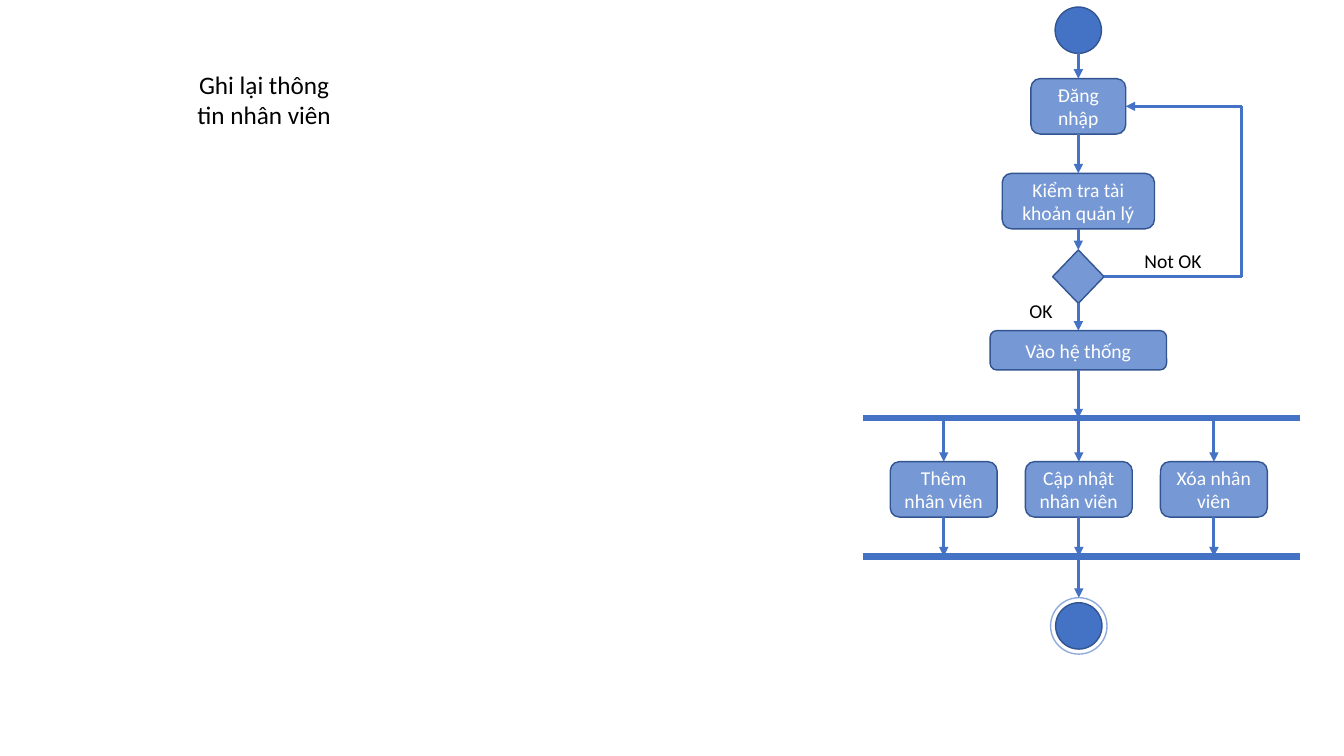
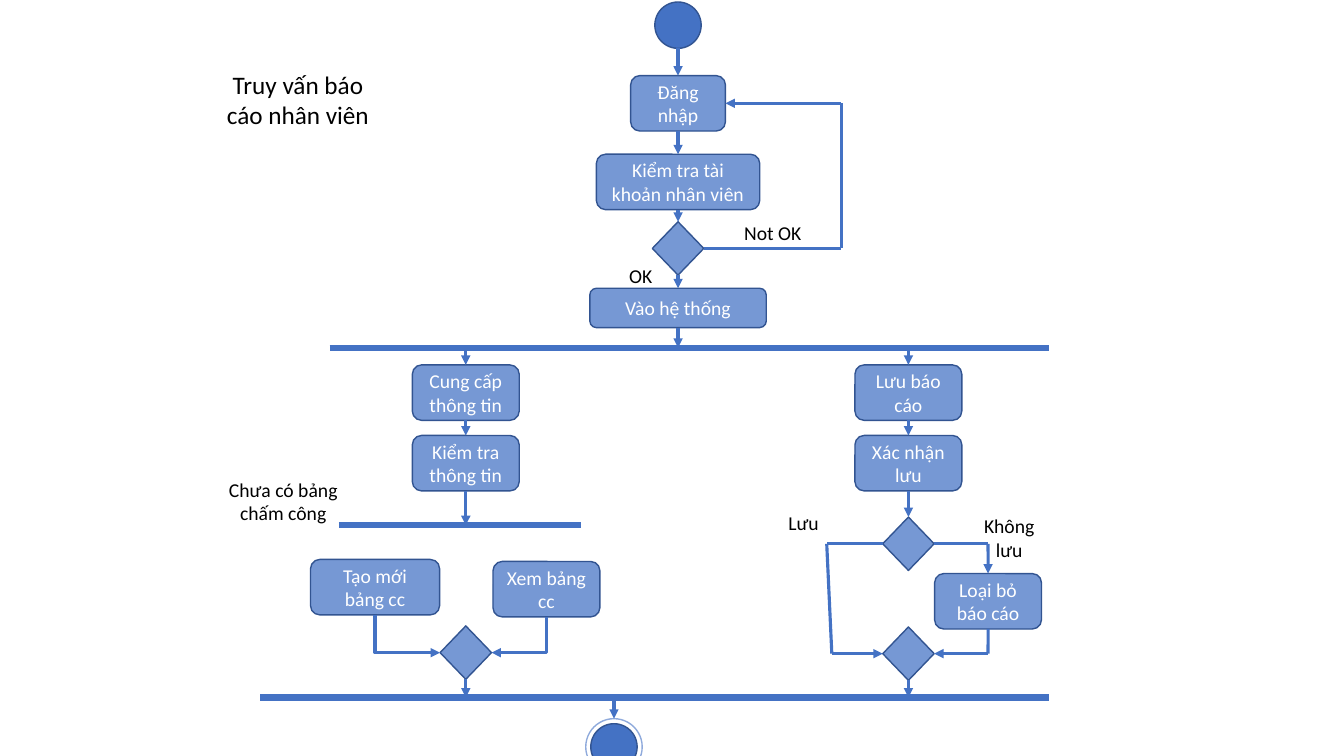
from dataclasses import dataclass

from pptx import Presentation
from pptx.dml.color import RGBColor
from pptx.enum.shapes import MSO_CONNECTOR, MSO_SHAPE
from pptx.enum.text import MSO_ANCHOR, MSO_AUTO_SIZE, PP_ALIGN
from pptx.oxml.ns import qn
from pptx.util import Inches, Pt

STRAIGHT, ELBOW = MSO_CONNECTOR.STRAIGHT, MSO_CONNECTOR.ELBOW
ROUNDED = MSO_SHAPE.ROUNDED_RECTANGLE
DIAMOND = MSO_SHAPE.FLOWCHART_DECISION
CIRCLE = MSO_SHAPE.OVAL
MIDDLE, CENTER, NO_FIT = MSO_ANCHOR.MIDDLE, PP_ALIGN.CENTER, MSO_AUTO_SIZE.NONE
TOP, LEFT, BOTTOM, RIGHT = range(4)  # connection sites
TITLE_ONLY = 5


@dataclass(frozen=True)
class Theme:
    font: str = "Calibri"
    title_size: float = 18
    text_size: float = 14
    line_width: float = 2.25
    bar_width: float = 4.5
    outline_width: float = 1
    task: str = "7698D4"
    accent: str = "4472C4"
    outline: str = "325491"
    ring: str = "8FAADC"
    light: str = "FFFFFF"
    dark: str = "000000"


@dataclass(frozen=True)
class Box:
    left: float
    top: float
    width: float
    height: float

    @property
    def right(self):
        return self.left + self.width

    @property
    def bottom(self):
        return self.top + self.height

    @property
    def center(self):
        return self.left + self.width / 2


THEME = Theme()
TASK_WIDTH, TASK_HEIGHT = 1.06, 0.55
DIAMOND_WIDTH, DIAMOND_HEIGHT = 0.51, 0.53
DISC, RING, RING_GAP = 0.46, 0.56, 0.05


# Basic parts
def write(shape, text, size=THEME.text_size, color=THEME.dark):
    frame = shape.text_frame
    frame.word_wrap = True
    frame.auto_size = NO_FIT
    frame.vertical_anchor = MIDDLE
    paragraph = frame.paragraphs[0]
    paragraph.alignment = CENTER
    run = paragraph.add_run()
    run.text = text
    run.font.name = THEME.font
    run.font.size = Pt(size)
    run.font.color.rgb = RGBColor.from_string(color)


def node(slide, kind, center, top, width, height, fill=THEME.task,
         outline=THEME.outline):
    shape = slide.shapes.add_shape(kind, Inches(center - width / 2), Inches(top),
                                   Inches(width), Inches(height))
    shape.shadow.inherit = False
    if fill:
        shape.fill.solid()
        shape.fill.fore_color.rgb = RGBColor.from_string(fill)
    else:
        shape.fill.background()
    shape.line.color.rgb = RGBColor.from_string(outline)
    shape.line.width = Pt(THEME.outline_width)
    return shape


def task(slide, text, center, top, width=TASK_WIDTH, height=TASK_HEIGHT):
    shape = node(slide, ROUNDED, center, top, width, height)
    write(shape, text, color=THEME.light)
    return shape


def decision(slide, center, top):
    return node(slide, DIAMOND, center, top, DIAMOND_WIDTH, DIAMOND_HEIGHT)


def disc(slide, center, top):
    return node(slide, CIRCLE, center, top, DISC, DISC, fill=THEME.accent)


def label(slide, text, center, middle, width=0.84, height=0.48):
    box = slide.shapes.add_textbox(Inches(center - width / 2),
                                   Inches(middle - height / 2),
                                   Inches(width), Inches(height))
    write(box, text)


def side(shape, site):
    """Point in inches at the middle of one side of a shape."""
    x = {LEFT: 0, RIGHT: 1}.get(site, 0.5)
    y = {TOP: 0, BOTTOM: 1}.get(site, 0.5)
    return ((shape.left + x * shape.width) / Inches(1),
            (shape.top + y * shape.height) / Inches(1))


# Lines: an end is a point (x, y) or a pair (shape, site)
def connect(slide, start, end, arrow="tailEnd", kind=STRAIGHT,
            width=THEME.line_width):
    ends = (start, end)
    glued = [not isinstance(e[0], (int, float)) for e in ends]
    points = [side(*e) if g else e for e, g in zip(ends, glued)]
    line = slide.shapes.add_connector(
        kind, *(Inches(value) for point in points for value in point))
    if glued[0]:
        line.begin_connect(*start)
    if glued[1]:
        line.end_connect(*end)
    line.line.color.rgb = RGBColor.from_string(THEME.accent)
    line.line.width = Pt(width)
    properties = line._element.spPr
    if kind == ELBOW:  # one corner: across, then up or down
        properties.find(qn("a:prstGeom")).set("prst", "bentConnector2")
    if arrow:
        tip = properties.find(qn("a:ln")).makeelement(qn(f"a:{arrow}"),
                                                      {"type": "triangle"})
        properties.find(qn("a:ln")).append(tip)
    properties.append(properties.makeelement(qn("a:effectLst"), {}))


def flow(slide, upper, lower):
    connect(slide, (upper, BOTTOM), (lower, TOP))


def drop_to(slide, shape, y):
    """Arrow from the bottom of a shape straight down to a bar."""
    connect(slide, (shape, BOTTOM), (side(shape, BOTTOM)[0], y))


def drop_from(slide, y, shape):
    connect(slide, (side(shape, TOP)[0], y), (shape, TOP))


def route(slide, *stops, arrow_at=-1):
    """Chain of straight legs with one arrowhead."""
    legs = list(zip(stops, stops[1:]))
    for index, (start, end) in enumerate(legs):
        tip = "tailEnd" if index == arrow_at % len(legs) else None
        connect(slide, start, end, arrow=tip)


def bar(slide, left, right, y):
    connect(slide, (left, y), (right, y), arrow=None, width=THEME.bar_width)


# Regions
def titled_slide(deck, text, box):
    slide = deck.slides.add_slide(deck.slide_layouts[TITLE_ONLY])
    title = slide.shapes.title
    title.left, title.top = Inches(box.left), Inches(box.top)
    title.width, title.height = Inches(box.width), Inches(box.height)
    write(title, text, size=THEME.title_size)
    return slide


def login_flow(slide, box, check_text, check_width, offsets):
    """Start, login, account check and entry, ending on the bar below."""
    center = box.center
    login_top, check_top, choice_top, entry_top = (box.top + o for o in offsets)
    start = disc(slide, center, box.top)
    login = task(slide, "Đăng nhập", center, login_top, width=0.94)
    check = task(slide, check_text, center, check_top, width=check_width)
    choice = decision(slide, center, choice_top)
    entry = task(slide, "Vào hệ thống", center, entry_top, box.width, 0.39)
    drop_to(slide, start, login_top)
    for upper, lower in ((login, check), (check, choice), (choice, entry)):
        flow(slide, upper, lower)
    drop_to(slide, entry, box.bottom)

    # Way back to login
    loop_x = center + 1.62
    route(slide, (choice, RIGHT), (loop_x, side(choice, RIGHT)[1]),
          (loop_x, side(login, RIGHT)[1]), (login, RIGHT))
    label(slide, "Not OK", center + 0.94, choice_top + 0.11)
    gap_middle = (choice_top + DIAMOND_HEIGHT + entry_top) / 2
    label(slide, "OK", center - 0.37, gap_middle - 0.06)


def finish(slide, center, bar_y, ring_top):
    disc(slide, center, ring_top + RING_GAP)
    ring = node(slide, CIRCLE, center, ring_top, RING, RING, fill=None,
                outline=THEME.ring)
    drop_from(slide, bar_y, ring)


def staff_actions(slide, box, actions):
    """Parallel tasks between two bars."""
    bar(slide, box.left, box.right, box.top)
    bar(slide, box.left, box.right, box.bottom)
    for index, action in enumerate(actions):
        step = task(slide, action, box.left + 0.8 + 1.34 * index, box.top + 0.43)
        drop_from(slide, box.top, step)
        drop_to(slide, step, box.bottom)


def paired_steps(slide, box, center, texts):
    """Two tasks hanging from the bar; returns the lower one."""
    upper, lower = (task(slide, text, center, box.top + 0.17 + 0.7 * index)
                    for index, text in enumerate(texts))
    drop_from(slide, box.top, upper)
    flow(slide, upper, lower)
    return lower


def timesheet_branch(slide, box):
    center = box.left + 1.54
    check = paired_steps(slide, box, center,
                         ("Cung cấp thông tin", "Kiểm tra thông tin"))
    split_y = box.top + 1.76
    drop_to(slide, check, split_y)
    bar(slide, box.left + 0.28, box.left + 2.68, split_y)
    label(slide, "Chưa có bảng chấm công", box.left - 0.27, split_y - 0.24,
          width=1.43)

    # Create or view, then merge
    create = task(slide, "Tạo mới bảng cc", box.left + 0.64, box.top + 2.1,
                  width=1.28)
    view = task(slide, "Xem bảng cc", box.right - TASK_WIDTH / 2, box.top + 2.12)
    merge = decision(slide, center, box.top + 2.76)
    for merge_side, source in ((LEFT, create), (RIGHT, view)):
        connect(slide, (merge, merge_side), (source, BOTTOM), arrow="headEnd",
                kind=ELBOW)
    drop_to(slide, merge, box.bottom)


def save_branch(slide, box):
    center = box.left + 0.81
    confirm = paired_steps(slide, box, center, ("Lưu báo cáo", "Xác nhận lưu"))
    choice = decision(slide, center, box.top + 1.68)
    flow(slide, confirm, choice)
    merge = decision(slide, center, box.top + 2.77)
    choice_y, merge_y = side(choice, LEFT)[1], side(merge, LEFT)[1]

    # Save
    route(slide, (choice, LEFT), (box.left, choice_y),
          (box.left + 0.05, merge_y), (merge, LEFT))
    label(slide, "Lưu", box.left - 0.23, choice_y - 0.21)

    # Discard
    discard_x = box.right - TASK_WIDTH / 2
    discard = task(slide, "Loại bỏ báo cáo", discard_x, box.top + 2.24)
    route(slide, (choice, RIGHT), (discard_x, choice_y), (discard, TOP))
    route(slide, (discard, BOTTOM), (discard_x, merge_y), (merge, RIGHT))
    label(slide, "Không lưu", discard_x + 0.21, choice_y - 0.06)
    drop_to(slide, merge, box.bottom)


# Slides
def staff_record_slide(deck):
    slide = titled_slide(deck, "Ghi lại thông tin nhân viên",
                         Box(1.83, 0.75, 1.58, 0.48))
    login_flow(slide, Box(9.82, 0.07, 1.75, 4.08), "Kiểm tra tài khoản quản lý",
               1.51, (0.71, 1.65, 2.41, 3.21))
    actions = Box(8.56, 4.15, 4.33, 1.37)
    staff_actions(slide, actions,
                  ("Thêm nhân viên", "Cập nhật nhân viên", "Xóa nhân viên"))
    finish(slide, 10.7, actions.bottom, 5.93)


def staff_report_slide(deck):
    slide = titled_slide(deck, "Truy vấn báo cáo nhân viên",
                         Box(2.08, 0.75, 1.75, 0.48))
    login_flow(slide, Box(5.85, 0.02, 1.75, 3.43),
               "Kiểm tra tài khoản nhân viên", 1.62, (0.73, 1.51, 2.18, 2.84))
    branches = Box(2.58, 3.45, 7.82, 3.47)
    bar(slide, branches.left + 0.69, branches.right, branches.top)
    bar(slide, branches.left, branches.right, branches.bottom)
    timesheet_branch(slide, Box(3.08, branches.top, 2.87, branches.height))
    save_branch(slide, Box(8.2, branches.top, 2.13, branches.height))
    finish(slide, 6.09, branches.bottom, 7.13)


def main():
    deck = Presentation()
    deck.slide_width, deck.slide_height = Inches(13.33), Inches(7.5)
    staff_record_slide(deck)
    staff_report_slide(deck)
    deck.save("out.pptx")


if __name__ == "__main__":
    main()
